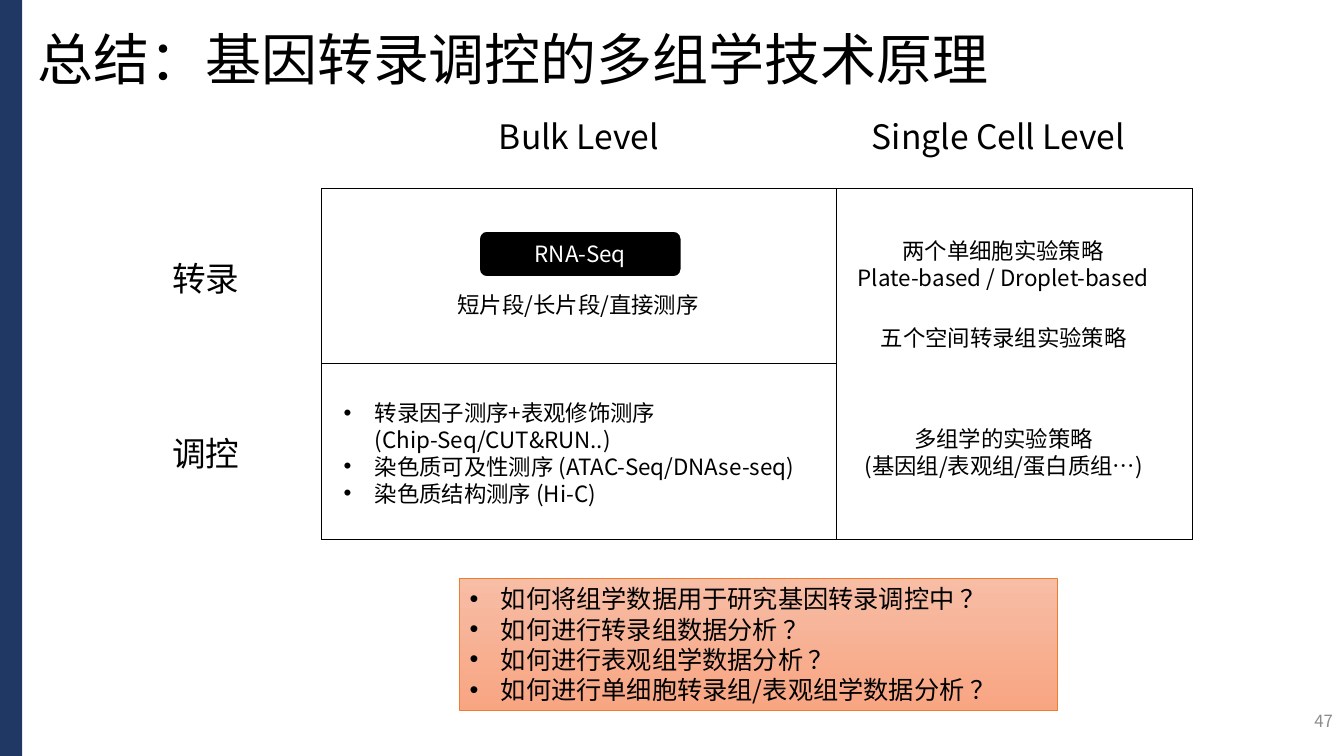
"""Build the summary slide on multi-omics methods for transcription and regulation."""
from lxml import etree
from pptx import Presentation
from pptx.dml.color import RGBColor
from pptx.enum.shapes import MSO_SHAPE
from pptx.enum.text import MSO_ANCHOR, PP_ALIGN
from pptx.oxml.ns import qn
from pptx.util import Inches, Pt

RECTANGLE, ROUNDED = MSO_SHAPE.RECTANGLE, MSO_SHAPE.ROUNDED_RECTANGLE
LEFT, CENTER, RIGHT = PP_ALIGN.LEFT, PP_ALIGN.CENTER, PP_ALIGN.RIGHT
TOP, MIDDLE = MSO_ANCHOR.TOP, MSO_ANCHOR.MIDDLE
BLACK = RGBColor(0x00, 0x00, 0x00)
WHITE = RGBColor(0xFF, 0xFF, 0xFF)
GRAY = RGBColor(0x8C, 0x8C, 0x8C)
NAVY = RGBColor(0x20, 0x38, 0x64)
ORANGE = RGBColor(0xED, 0x7D, 0x31)
PEACH = RGBColor(0xF7, 0xBD, 0xA5)
SALMON = RGBColor(0xF8, 0xA5, 0x82)
FONT = "Noto Sans CJK SC"
TABLE_LEFT, TABLE_TOP = 3.19, 1.87
COLUMN_WIDTHS = [5.11, 3.53]
ROW_HEIGHT = 1.74
BULLET_INDENT = Inches(0.31)


def write_text(shape, text, size=16, color=BLACK, align=LEFT, anchor=TOP,
               wrap=True, bullets=False, spacing=None):
    """Fill a shape with one paragraph per line of text."""
    frame = shape.text_frame
    frame.word_wrap = wrap
    frame.vertical_anchor = anchor
    for index, line in enumerate(text.split("\n")):
        paragraph = frame.add_paragraph() if index else frame.paragraphs[0]
        paragraph.text = line
        paragraph.alignment = align
        if spacing:
            paragraph.line_spacing = spacing
        if bullets:
            properties = paragraph._p.get_or_add_pPr()
            properties.set("marL", str(BULLET_INDENT))
            properties.set("indent", str(-BULLET_INDENT))
            etree.SubElement(properties, qn("a:buFont"), typeface="Arial")
            etree.SubElement(properties, qn("a:buChar"), char="•")
        for run in paragraph.runs:
            run.font.size = Pt(size)
            run.font.name = FONT
            run.font.color.rgb = color
            etree.SubElement(run._r.get_or_add_rPr(), qn("a:ea"), typeface=FONT)


presentation = Presentation()
presentation.slide_width = Inches(13.33)
presentation.slide_height = Inches(7.5)
slide = presentation.slides.add_slide(presentation.slide_layouts[5])
shapes = slide.shapes

title = shapes.title
title.left, title.top, title.width, title.height = map(Inches, (0.27, 0.13, 12.25, 0.97))
write_text(title, "总结：基因转录调控的多组学技术原理", size=40, anchor=MIDDLE, spacing=0.9)

sidebar = shapes.add_shape(RECTANGLE, 0, 0, Inches(0.22), presentation.slide_height)
sidebar.shadow.inherit = False
sidebar.fill.solid()
sidebar.fill.fore_color.rgb = NAVY
sidebar.line.fill.background()

table_frame = shapes.add_table(2, 2, Inches(TABLE_LEFT), Inches(TABLE_TOP),
                               Inches(sum(COLUMN_WIDTHS)), Inches(2 * ROW_HEIGHT))
table = table_frame.table
table.first_row = False
table.horz_banding = False
for column, width in zip(table.columns, COLUMN_WIDTHS):
    column.width = Inches(width)
for cell in table.iter_cells():
    properties = cell._tc.get_or_add_tcPr()
    for side in ("a:lnL", "a:lnR", "a:lnT", "a:lnB"):
        border = etree.SubElement(properties, qn(side), w=str(Pt(1)))
        border_fill = etree.SubElement(border, qn("a:solidFill"))
        etree.SubElement(border_fill, qn("a:srgbClr"), val=str(BLACK))
    cell.fill.background()
table.cell(0, 1).merge(table.cell(1, 1))

for row, label in enumerate(["转录", "调控"]):
    top = TABLE_TOP + (row + 0.5) * ROW_HEIGHT - 0.23
    row_label = shapes.add_textbox(Inches(1.61), Inches(top), Inches(0.88), Inches(0.5))
    write_text(row_label, label, size=24, wrap=False)

for label, left, width in [("Bulk Level", 4.85, 1.81), ("Single Cell Level", 8.55, 2.8)]:
    column_label = shapes.add_textbox(Inches(left), Inches(1.1), Inches(width), Inches(0.5))
    write_text(column_label, label, size=24, wrap=False)

rna_seq = shapes.add_shape(ROUNDED, *map(Inches, (4.75, 2.29, 2.01, 0.46)))
rna_seq.shadow.inherit = False
rna_seq.fill.solid()
rna_seq.fill.fore_color.rgb = BLACK
rna_seq.line.color.rgb = WHITE
rna_seq.line.width = Pt(1.5)
write_text(rna_seq, "RNA-Seq", color=WHITE, align=CENTER, anchor=MIDDLE)

questions = shapes.add_shape(RECTANGLE, *map(Inches, (4.56, 5.74, 5.93, 1.31)))
questions.shadow.inherit = False
questions.fill.gradient()
questions.fill.gradient_angle = 270
for stop, color in zip(questions.fill.gradient_stops, (PEACH, SALMON)):
    stop.color.rgb = color
questions.line.color.rgb = ORANGE
questions.line.width = Pt(0.5)
write_text(questions, "如何将组学数据用于研究基因转录调控中 ？\n如何进行转录组数据分析 ？\n"
           "如何进行表观组学数据分析 ？\n如何进行单细胞转录组/表观组学数据分析 ？",
           size=18, bullets=True)

table_notes = [
    ("短片段/长片段/直接测序", (4.44, 2.84, 2.64, 0.37), {}),
    ("转录因子测序+表观修饰测序 \v(Chip-Seq/CUT&RUN..)\n"
     "染色质可及性测序 (ATAC-Seq/DNAse-seq)\n染色质结构测序 (Hi-C)",
     (3.31, 3.91, 4.89, 1.18), {"bullets": True}),
    ("两个单细胞实验策略\nPlate-based / Droplet-based", (8.3, 2.3, 3.3, 0.64), {"align": CENTER}),
    ("五个空间转录组实验策略", (8.62, 3.17, 2.67, 0.37), {"align": CENTER}),
    ("多组学的实验策略\n(基因组/表观组/蛋白质组…)", (8.47, 4.17, 2.97, 0.64), {"align": CENTER}),
]
for text, box, text_format in table_notes:
    write_text(shapes.add_textbox(*map(Inches, box)), text, **text_format)

page_number = shapes.add_textbox(*map(Inches, (10.32, 6.95, 3, 0.4)))
write_text(page_number, "47", size=12, color=GRAY, align=RIGHT, anchor=MIDDLE)

presentation.save("out.pptx")
